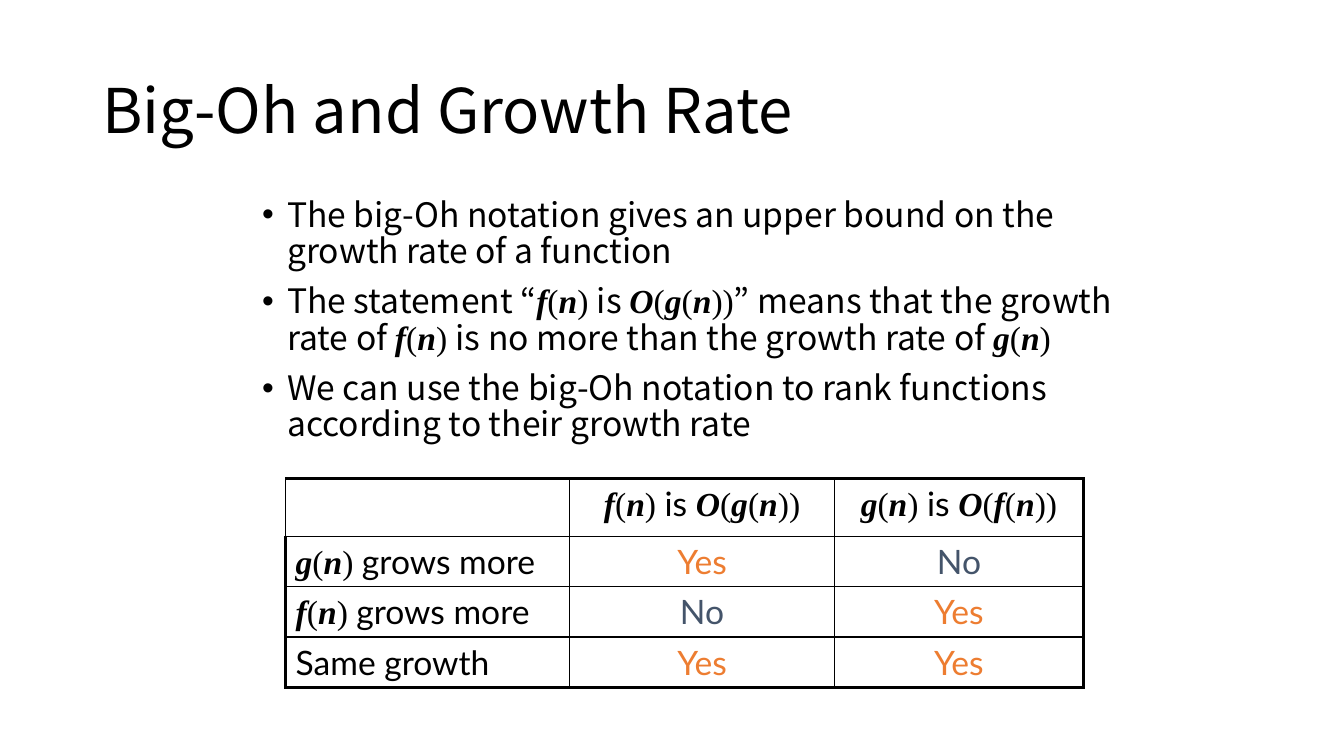
from itertools import groupby

from lxml.etree import SubElement
from pptx import Presentation
from pptx.dml.color import RGBColor
from pptx.enum.text import MSO_ANCHOR, MSO_AUTO_SIZE, PP_ALIGN
from pptx.oxml.ns import qn
from pptx.util import Pt

COLORS = {"text": "000000", "Yes": "ED7D31", "No": "44546A"}
HEADING_FONT, TABLE_FONT, MATH_FONT = "Noto Sans CJK KR", "Lato", "Times New Roman"


def write_mixed(paragraph, text, font_name, color="text"):
    """Write text in which the parts between bars are formulas with bold italic letters."""
    for index, part in enumerate(text.split("|")):
        is_math = index % 2 == 1
        pieces = groupby(part, str.isalpha) if is_math else [(False, part)]
        for is_letter, piece in pieces:
            words = "".join(piece)
            if not words:
                continue
            run = paragraph.add_run()
            run.text = words
            run.font.name = MATH_FONT if is_math else font_name
            run.font.size = Pt(24)
            run.font.bold = run.font.italic = is_letter
            run.font.color.rgb = RGBColor.from_string(COLORS[color])


def set_border(cell, side, width):
    line = SubElement(cell._tc.get_or_add_tcPr(), qn(f"a:ln{side}"), w=str(Pt(width)))
    fill = SubElement(line, qn("a:solidFill"))
    SubElement(fill, qn("a:srgbClr"), val=COLORS["text"])


prs = Presentation()
prs.slide_width, prs.slide_height = Pt(960), Pt(540)
slide = prs.slides.add_slide(prs.slide_layouts[1])

# Title
title = slide.shapes.title
title.left, title.top, title.width, title.height = Pt(66), Pt(28.75), Pt(828), Pt(104.4)
title.text_frame.text = "Big-Oh and Growth Rate"
title.text_frame.auto_size = MSO_AUTO_SIZE.NONE
title.text_frame.vertical_anchor = MSO_ANCHOR.MIDDLE
heading = title.text_frame.paragraphs[0]
heading.alignment = PP_ALIGN.LEFT
heading.line_spacing = 0.9
heading_font = heading.runs[0].font
heading_font.name, heading_font.size = HEADING_FONT, Pt(44)
heading_font.color.rgb = RGBColor.from_string(COLORS["text"])

# Bullet points
STATEMENTS = [
    "The big-Oh notation gives an upper bound on the growth rate of a function",
    "The statement “|f(n) |is |O(g(n))|” means that the growth rate of |f(n) |"
    "is no more than the growth rate of |g(n)|",
    "We can use the big-Oh notation to rank functions according to their growth rate",
]
body = slide.placeholders[1]
body.left, body.top, body.width, body.height = Pt(180), Pt(138), Pt(630), Pt(204)
body.text_frame.auto_size = MSO_AUTO_SIZE.NONE
for index, statement in enumerate(STATEMENTS):
    point = body.text_frame.add_paragraph() if index else body.text_frame.paragraphs[0]
    point.line_spacing = 0.9
    point.space_before = Pt(10)
    properties = point._p.get_or_add_pPr()
    properties.set("marL", str(Pt(18)))
    properties.set("indent", str(-Pt(18)))
    write_mixed(point, statement, HEADING_FONT)

# Growth comparison table
GROWTH_ROWS = [
    ["", "|f(n) |is |O(g(n))|", "|g(n) |is |O(f(n))|"],
    ["|g(n) |grows more", "Yes", "No"],
    ["|f(n) |grows more", "No", "Yes"],
    ["Same growth", "Yes", "Yes"],
]
growth = slide.shapes.add_table(4, 3, Pt(204), Pt(342), Pt(570), Pt(149)).table
growth.first_row = growth.horz_banding = False
for column, width in zip(growth.columns, (203, 189, 178)):
    column.width = Pt(width)
for row, height in zip(growth.rows, (41, 36, 36, 36)):
    row.height = Pt(height)

for r, row_texts in enumerate(GROWTH_ROWS):
    for c, text in enumerate(row_texts):
        cell = growth.cell(r, c)
        entry = cell.text_frame.paragraphs[0]
        entry.alignment = PP_ALIGN.CENTER if c else PP_ALIGN.LEFT
        write_mixed(entry, text, TABLE_FONT, text if text in COLORS else "text")
        # Thick outer frame, thin on the left of the empty corner
        thick = {"L": c == 0 and r > 0, "R": c == 2, "T": r == 0, "B": r == 3}
        for side, is_thick in thick.items():
            set_border(cell, side, 2.25 if is_thick else 1)
        cell.fill.background()

prs.save("out.pptx")
